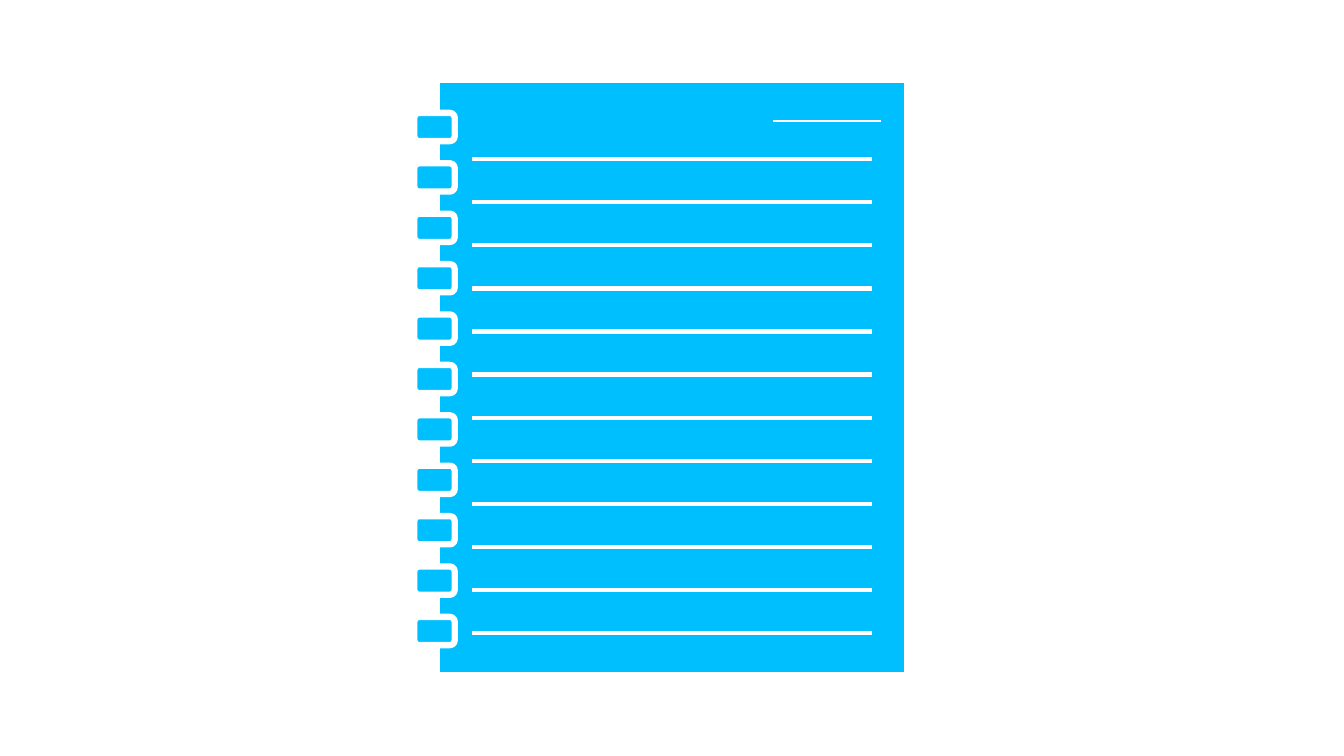
from lxml.etree import SubElement
from pptx import Presentation
from pptx.dml.color import RGBColor
from pptx.enum.shapes import MSO_CONNECTOR, MSO_SHAPE
from pptx.oxml.ns import qn
from pptx.util import Inches, Pt

SKY = RGBColor(0x00, 0xBF, 0xFF)
WHITE = RGBColor(0xFF, 0xFF, 0xFF)
RULES = 12
RINGS = 11


def add_block(shapes, kind, x, y, w, h, weight):
    sp = shapes.add_shape(kind, Inches(x), Inches(y), Inches(w), Inches(h))
    sp.shadow.inherit = False
    sp.fill.solid()
    sp.fill.fore_color.rgb = SKY
    sp.line.color.rgb = WHITE
    sp.line.width = Pt(weight)


def add_rule(shapes, x, y, w, weight):
    line = shapes.add_connector(
        MSO_CONNECTOR.STRAIGHT, Inches(x), Inches(y), Inches(x + w), Inches(y)
    )
    line.line.color.rgb = WHITE
    line.line.width = Pt(weight)
    SubElement(line._element.spPr, qn("a:effectLst"))


def add_page(shapes, x, y, w, h):
    add_block(shapes, MSO_SHAPE.RECTANGLE, x, y, w, h, 3)
    gap = 4.7 / (RULES - 1)
    for i in range(RULES):
        add_rule(shapes, x + 0.34, y + 0.78 + i * gap, w - 0.68, 3)
    add_rule(shapes, x + w - 1.32, y + 0.4, 1.07, 1)


def add_binding(shapes, x, y, w, h):
    ring_h = 0.28
    gap = (h - ring_h) / (RINGS - 1)
    for i in range(RINGS):
        add_block(
            shapes, MSO_SHAPE.FLOWCHART_ALTERNATE_PROCESS,
            x, y + i * gap, w, ring_h, 4.5,
        )


def add_notebook(s, x, y, w, h):
    shapes = s.shapes.add_group_shape().shapes
    add_page(shapes, x + 0.23, y, w - 0.23, h)
    add_binding(shapes, x, y + 0.32, 0.4, 5.28)


def main():
    prs = Presentation()
    prs.slide_width = Inches(13.33)
    prs.slide_height = Inches(7.5)
    s = prs.slides.add_slide(prs.slide_layouts[6])
    add_notebook(s, 4.11, 0.8, 4.88, 5.89)
    prs.save("out.pptx")


if __name__ == "__main__":
    main()
